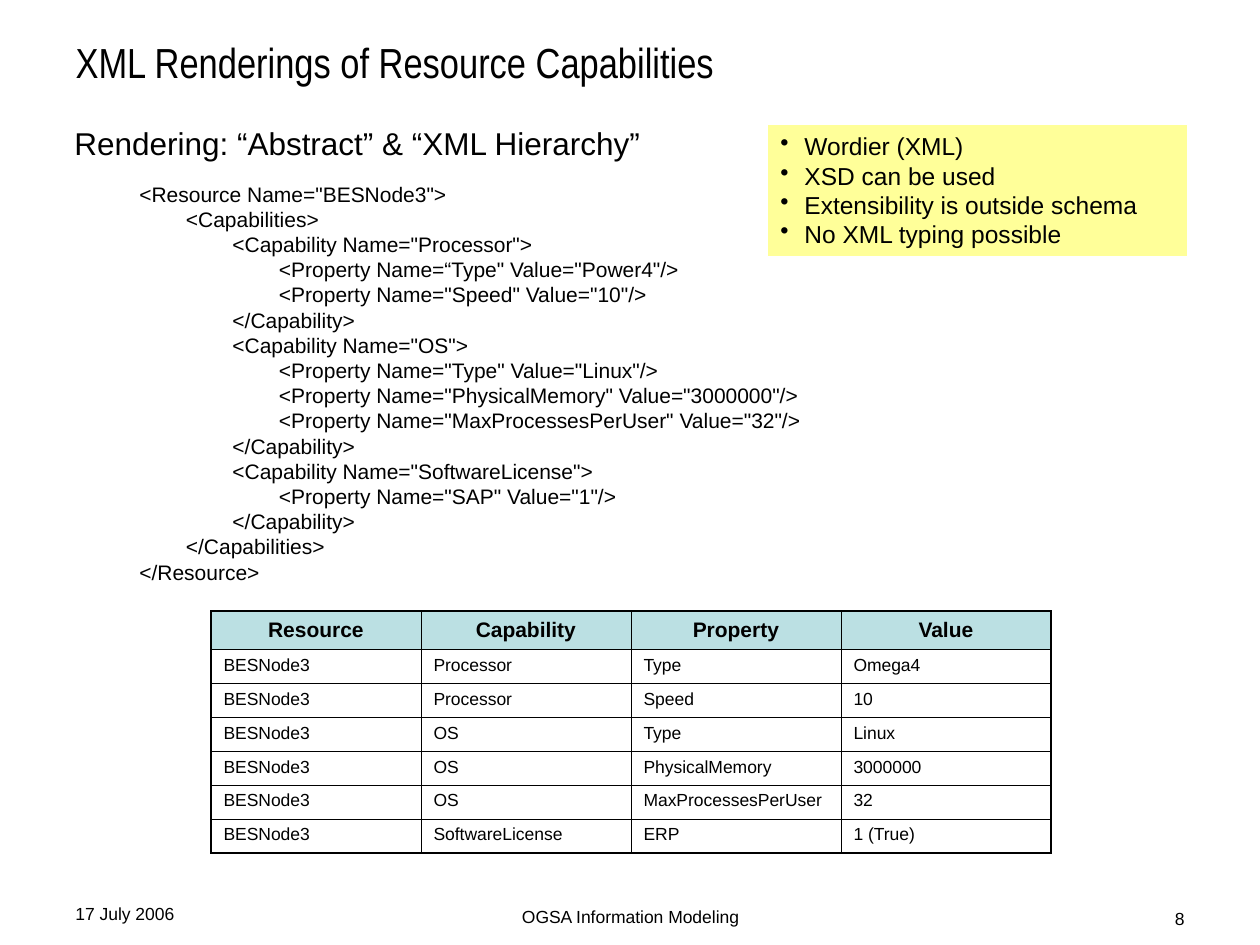
"""Builds the slide on XML renderings of resource capabilities."""
from dataclasses import dataclass
from typing import Any

from lxml import etree
from pptx import Presentation
from pptx.dml.color import RGBColor
from pptx.enum import shapes, text
from pptx.oxml import ns
from pptx.util import Pt

EMU_PER_PX = 914400 / 126

CODE = '''<Resource Name="BESNode3">
        <Capabilities>
                <Capability Name="Processor">
                        <Property Name=“Type" Value="Power4"/>
                        <Property Name="Speed" Value="10"/>
                </Capability>
                <Capability Name="OS">
                        <Property Name="Type" Value="Linux"/>
                        <Property Name="PhysicalMemory" Value="3000000"/>
                        <Property Name="MaxProcessesPerUser" Value="32"/>
                </Capability>
                <Capability Name="SoftwareLicense">
                        <Property Name="SAP" Value="1"/>
                </Capability>
        </Capabilities>
</Resource>'''

REMARKS = [
    "Wordier (XML)",
    "XSD can be used",
    "Extensibility is outside schema",
    "No XML typing possible",
]

PROPERTIES = [
    ("Resource", "Capability", "Property", "Value"),
    ("BESNode3", "Processor", "Type", "Omega4"),
    ("BESNode3", "Processor", "Speed", "10"),
    ("BESNode3", "OS", "Type", "Linux"),
    ("BESNode3", "OS", "PhysicalMemory", "3000000"),
    ("BESNode3", "OS", "MaxProcessesPerUser", "32"),
    ("BESNode3", "SoftwareLicense", "ERP", "1 (True)"),
]


def px(length):
    return round(length * EMU_PER_PX)


def color(value):
    return RGBColor.from_string(value)


def add_xml(parent, tag, **attributes):
    return etree.SubElement(parent, ns.qn(tag), attributes)


@dataclass
class SlideBuilder:
    """Holds the style and the current slide."""
    slide: Any
    ink: str = "000000"
    note_fill: str = "FFFF99"
    header_fill: str = "BBE0E3"
    font: str = "Arial"
    title_font: str = "Arial Narrow"
    inner_line: float = 0.45
    outer_line: float = 1.08

    def set_text(self, frame, lines, size, align=text.PP_ALIGN.LEFT, bold=False,
                 font=None, bullet_indent=0):
        frame.text = "\n".join(lines)
        for paragraph in frame.paragraphs:
            if bullet_indent:
                properties = paragraph._p.get_or_add_pPr()
                properties.set("marL", str(px(bullet_indent)))
                properties.set("indent", str(-px(bullet_indent)))
                add_xml(properties, "a:buChar", char="•")
            paragraph.alignment = align
            paragraph.font.name = font or self.font
            paragraph.font.size = Pt(size)
            paragraph.font.bold = bold
            paragraph.font.color.rgb = color(self.ink)

    def title(self, box, wording):
        heading = self.slide.shapes.title
        heading.left, heading.top, heading.width, heading.height = map(px, box)
        frame = heading.text_frame
        frame.auto_size = text.MSO_AUTO_SIZE.NONE
        frame.vertical_anchor = text.MSO_ANCHOR.MIDDLE
        self.set_text(frame, [wording], 24, font=self.title_font)

    def label(self, box, lines, size, align=text.PP_ALIGN.LEFT, wrap=True):
        frame = self.slide.shapes.add_textbox(*map(px, box)).text_frame
        frame.word_wrap = wrap
        self.set_text(frame, lines, size, align)

    def note(self, box, lines):
        panel = self.slide.shapes.add_shape(shapes.MSO_SHAPE.RECTANGLE, *map(px, box))
        panel.shadow.inherit = False
        panel.fill.solid()
        panel.fill.fore_color.rgb = color(self.note_fill)
        panel.line.fill.background()
        panel.text_frame.vertical_anchor = text.MSO_ANCHOR.TOP
        self.set_text(panel.text_frame, lines, 14, bullet_indent=24)

    def borders(self, cell, outer_sides):
        properties = cell._tc.get_or_add_tcPr()
        for side in "LRTB":
            width = self.outer_line if side in outer_sides else self.inner_line
            line = add_xml(properties, f"a:ln{side}", w=str(int(Pt(width))))
            add_xml(add_xml(line, "a:solidFill"), "a:srgbClr", val=self.ink)

    def table(self, left, top, column_width, header_height, row_height, rows):
        last_row, last_column = len(rows) - 1, len(rows[0]) - 1
        grid = self.slide.shapes.add_table(
            len(rows), len(rows[0]), px(left), px(top),
            px(column_width * len(rows[0])),
            px(header_height + row_height * last_row)).table
        grid.horz_banding = False
        for column in grid.columns:
            column.width = px(column_width)
        for r, row in enumerate(rows):
            header = r == 0
            grid.rows[r].height = px(header_height if header else row_height)
            for c, wording in enumerate(row):
                cell = grid.cell(r, c)
                edges = {"L": c == 0, "R": c == last_column,
                         "T": header, "B": r == last_row}
                self.borders(cell, [side for side in edges if edges[side]])
                if header:
                    cell.fill.solid()
                    cell.fill.fore_color.rgb = color(self.header_fill)
                    cell.vertical_anchor = text.MSO_ANCHOR.MIDDLE
                    self.set_text(cell.text_frame, [wording], 12,
                                  text.PP_ALIGN.CENTER, bold=True)
                else:
                    cell.fill.background()
                    self.set_text(cell.text_frame, [wording], 10)


def main():
    deck = Presentation()
    deck.slide_width, deck.slide_height = px(1260), px(945)
    builder = SlideBuilder(deck.slides.add_slide(deck.slide_layouts[5]))
    builder.title((63, 38, 1134, 47), "XML Renderings of Resource Capabilities")
    builder.label((127, 175, 761, 416), CODE.split("\n"), 12)
    builder.label((62, 118, 592, 50), ["Rendering: “Abstract” & “XML Hierarchy”"],
                  18, wrap=False)
    builder.note((768, 125, 419, 131), REMARKS)
    builder.table(211, 611, 210, 38, 34, PROPERTIES)
    builder.label((431, 900, 399, 26), ["OGSA Information Modeling"], 10,
                  text.PP_ALIGN.CENTER)
    builder.label((903, 902, 294, 24), ["8"], 10, text.PP_ALIGN.RIGHT)
    builder.label((63, 897, 294, 29), ["17 July 2006"], 10)
    deck.save("out.pptx")


if __name__ == "__main__":
    main()
